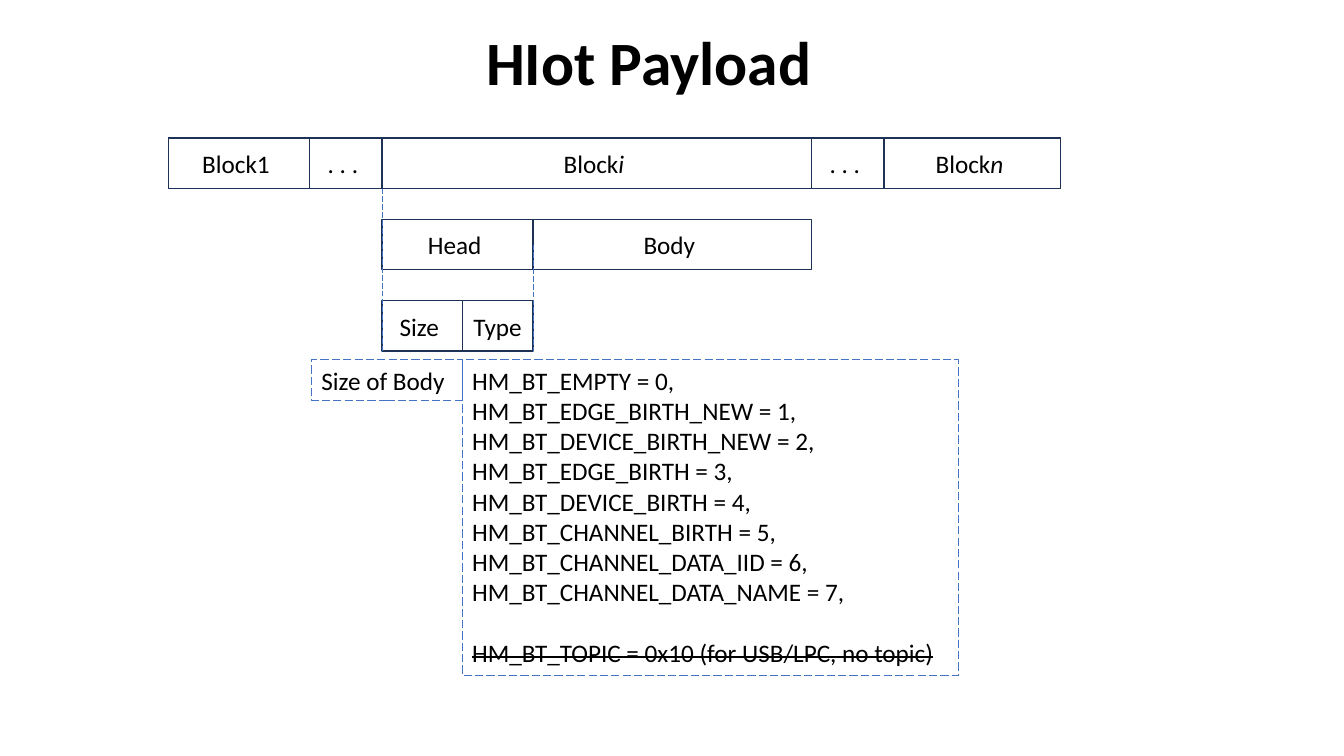
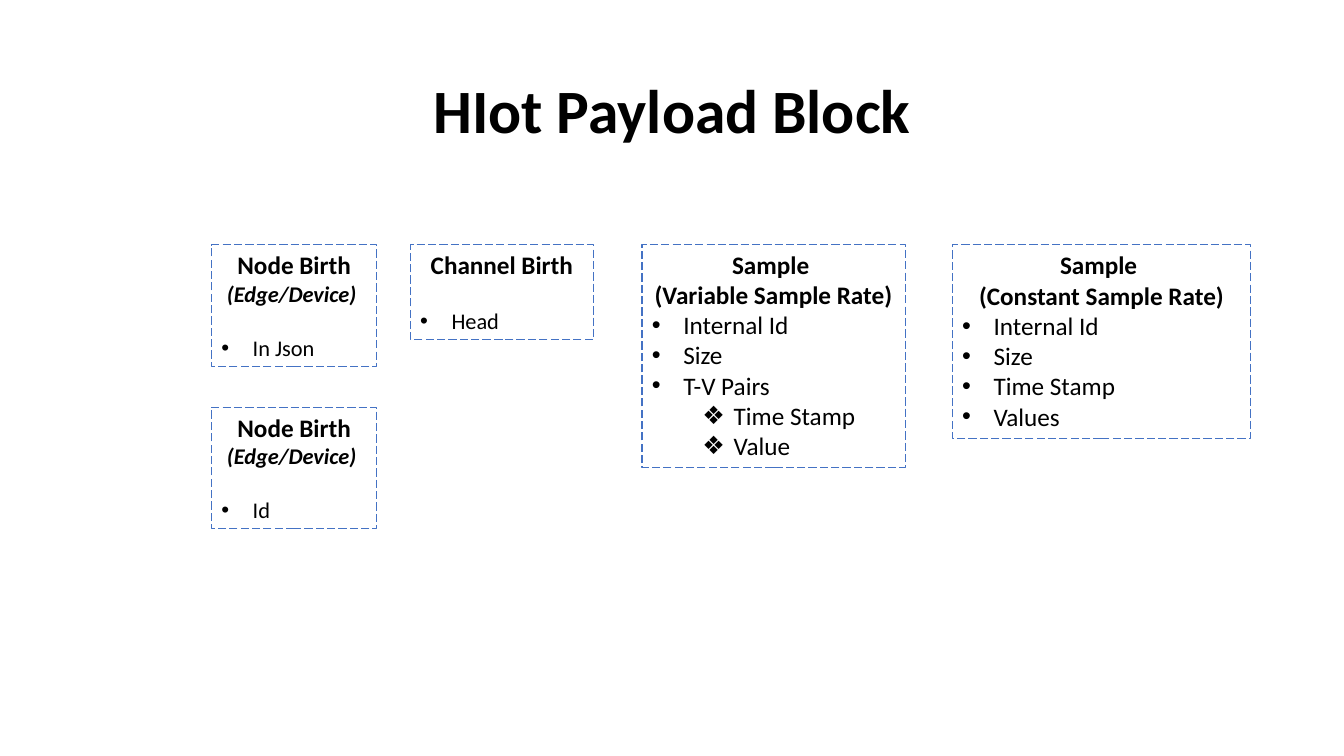
from lxml.etree import SubElement as Sub
from pptx import Presentation
from pptx.dml.color import RGBColor as Rgb
from pptx.enum.dml import MSO_LINE as Dash
from pptx.enum.shapes import MSO_CONNECTOR as Link, MSO_SHAPE as Form
from pptx.enum.text import MSO_ANCHOR as Anchor, MSO_AUTO_SIZE as Auto, PP_ALIGN as Align
from pptx.oxml.ns import qn
from pptx.util import Cm, Pt


class Deck:
    font = "Calibri"
    hues = {"text": "000000", "edge": "1E3256", "dash": "4472C4"}
    high = 1.27

    def __init__(self):
        self.show = Presentation()
        self.show.slide_width, self.show.slide_height = Cm(33.87), Cm(19.05)
        self.slide = None

    def hue(self, name):
        return Rgb.from_string(self.hues[name])

    def page(self, title, x, y):
        self.slide = self.show.slides.add_slide(self.show.slide_layouts[6])
        frame = self.slide.shapes.add_textbox(Cm(x), Cm(y), Cm(29.21), Cm(3.68)).text_frame
        frame.word_wrap = True
        frame.vertical_anchor = Anchor.MIDDLE
        para = self.put(frame, title, size=44, bold=True, align=Align.CENTER)
        para.line_spacing = 0.9

    def put(self, frame, text, size=18, bold=False, slant=False,
            align=Align.LEFT, gap=0, mark="", inset=0.0):
        first = frame.paragraphs[0]
        para = frame.add_paragraph() if first.runs else first
        para.alignment = align
        para.space_before = Pt(gap)
        if mark:
            props = para._p.get_or_add_pPr()
            props.set("marL", str(Cm(inset)))
            props.set("indent", str(-Cm(0.79)))
            Sub(props, qn("a:buFont")).set("typeface", "Arial")
            Sub(props, qn("a:buChar")).set("char", mark)
        para.add_run().text = text
        font = para.font
        font.name, font.size, font.bold, font.italic = self.font, Pt(size), bold, slant
        font.color.rgb = self.hue("text")
        return para

    def rect(self, x, y, wide, high, edge="edge", weight=1.0):
        shape = self.slide.shapes.add_shape(Form.RECTANGLE, Cm(x), Cm(y), Cm(wide), Cm(high))
        shape.shadow.inherit = False
        shape.fill.background()
        shape.line.color.rgb = self.hue(edge)
        shape.line.width = Pt(weight)
        shape.text_frame.word_wrap = True
        return shape

    def row(self, x, y, cells):
        shapes = []
        for wide, text, tail in cells:
            shape = self.rect(x, y, wide, self.high)
            shape.text_frame.vertical_anchor = Anchor.MIDDLE
            para = self.put(shape.text_frame, text, align=Align.CENTER)
            if tail:
                run = para.add_run()
                run.text = tail
                run.font.italic = True
            shapes.append(shape)
            x += wide
        return shapes

    def note(self, x, y, wide, high):
        shape = self.rect(x, y, wide, high, "dash", 0.75)
        shape.line.dash_style = Dash.LONG_DASH
        frame = shape.text_frame
        frame.vertical_anchor = Anchor.TOP
        frame.auto_size = Auto.SHAPE_TO_FIT_TEXT
        return frame

    def panel(self, x, y, wide, high, heads, items, subs=(), size=18, gap=0):
        frame = self.note(x, y, wide, high)
        for head in heads:
            self.put(frame, head, bold=True, align=Align.CENTER)
        for sub in subs:
            self.put(frame, sub, size=16, bold=True, slant=True, align=Align.CENTER)
        for spot, item in enumerate(items):
            deep = isinstance(item, tuple)
            self.put(frame, item[0] if deep else item, size, gap=0 if spot else gap,
                     mark="❖" if deep else "•", inset=2.06 if deep else 0.79)

    def drop(self, x, top, end, start=None):
        line = self.slide.shapes.add_connector(Link.STRAIGHT, Cm(x), Cm(top), Cm(x), Cm(end))
        line.line.color.rgb = self.hue("dash")
        line.line.width = Pt(0.5)
        line.line.dash_style = Dash.LONG_DASH
        Sub(line._element.spPr, qn("a:effectLst"))
        if start is not None:
            line.begin_connect(start, 3)


def payload(deck):
    deck.page("HIot Payload", 1.75, -0.2)
    left, top, step = 4.24, 3.48, 2.05
    block, dots, main, last = 3.56, 1.83, 10.82, 4.45
    size, kind = 2.02, 1.78
    inner = left + block + dots
    split, right = inner + size, inner + size + kind
    end = top + 2 * step + deck.high
    deck.rect(left, top, block + 2 * dots + main + last, deck.high)
    deck.row(left, top, [(block, "Block1 ", ""), (dots, ". . . ", ""), (main, "Block", "i "),
                         (dots, ". . . ", ""), (last, "Block", "n ")])
    head, body = deck.row(inner, top + step, [(size + kind, "Head ", ""),
                                              (main - size - kind, "Body ", "")])
    deck.row(inner, top + 2 * step, [(size, "Size ", ""), (kind, "Type", "")])
    deck.drop(inner, top + deck.high, end)
    deck.drop(right, top + step + deck.high / 2, end, head)

    low = 9.07
    codes = deck.note(split, low, 12.5, 7.95)
    names = ["EMPTY", "EDGE_BIRTH_NEW", "DEVICE_BIRTH_NEW", "EDGE_BIRTH", "DEVICE_BIRTH",
             "CHANNEL_BIRTH", "CHANNEL_DATA_IID", "CHANNEL_DATA_NAME"]
    for code, name in enumerate(names):
        deck.put(codes, f"HM_BT_{name} = {code},")
    topic = deck.put(codes, "HM_BT_TOPIC = 0x10 (for USB/LPC, no topic)", gap=22)
    topic.runs[0]._r.get_or_add_rPr().set("strike", "sngStrike")
    deck.put(deck.note(split - 3.8, low, 3.8, 1.02), "Size of Body")


def blocks(deck):
    deck.page("HIot Payload Block", 2.34, 1.02)
    top = 6.17
    for y, item in ((top, "In Json"), (10.26, "Id")):
        deck.panel(5.33, y, 4.17, 3.07, ["Node Birth"], [item],
                   subs=["(Edge/Device) "], size=16, gap=19.5)
    deck.panel(10.34, top, 4.62, 2.39, ["Channel Birth"], ["Head"], size=16, gap=19.5)
    deck.panel(16.18, 6.15, 6.63, 5.64, ["Sample ", "(Variable Sample Rate)"],
               ["Internal Id", "Size", "T-V Pairs", ("Time Stamp",), ("Value",)])
    deck.panel(24, top, 7.52, 4.88, ["Sample ", "(Constant Sample Rate)"],
               ["Internal Id", "Size", "Time Stamp", "Values"])


def main():
    deck = Deck()
    payload(deck)
    blocks(deck)
    deck.show.save("out.pptx")


if __name__ == "__main__":
    main()
